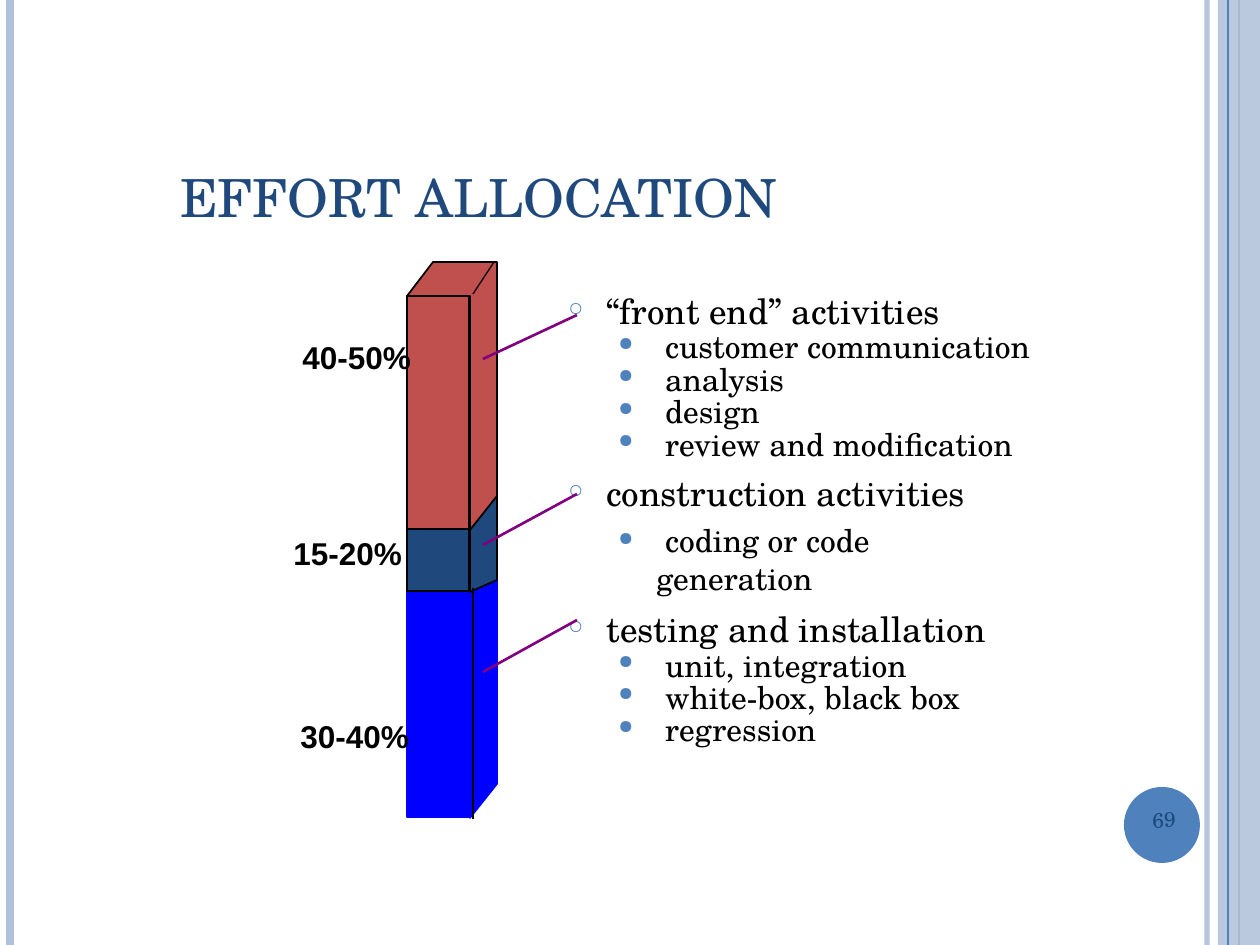
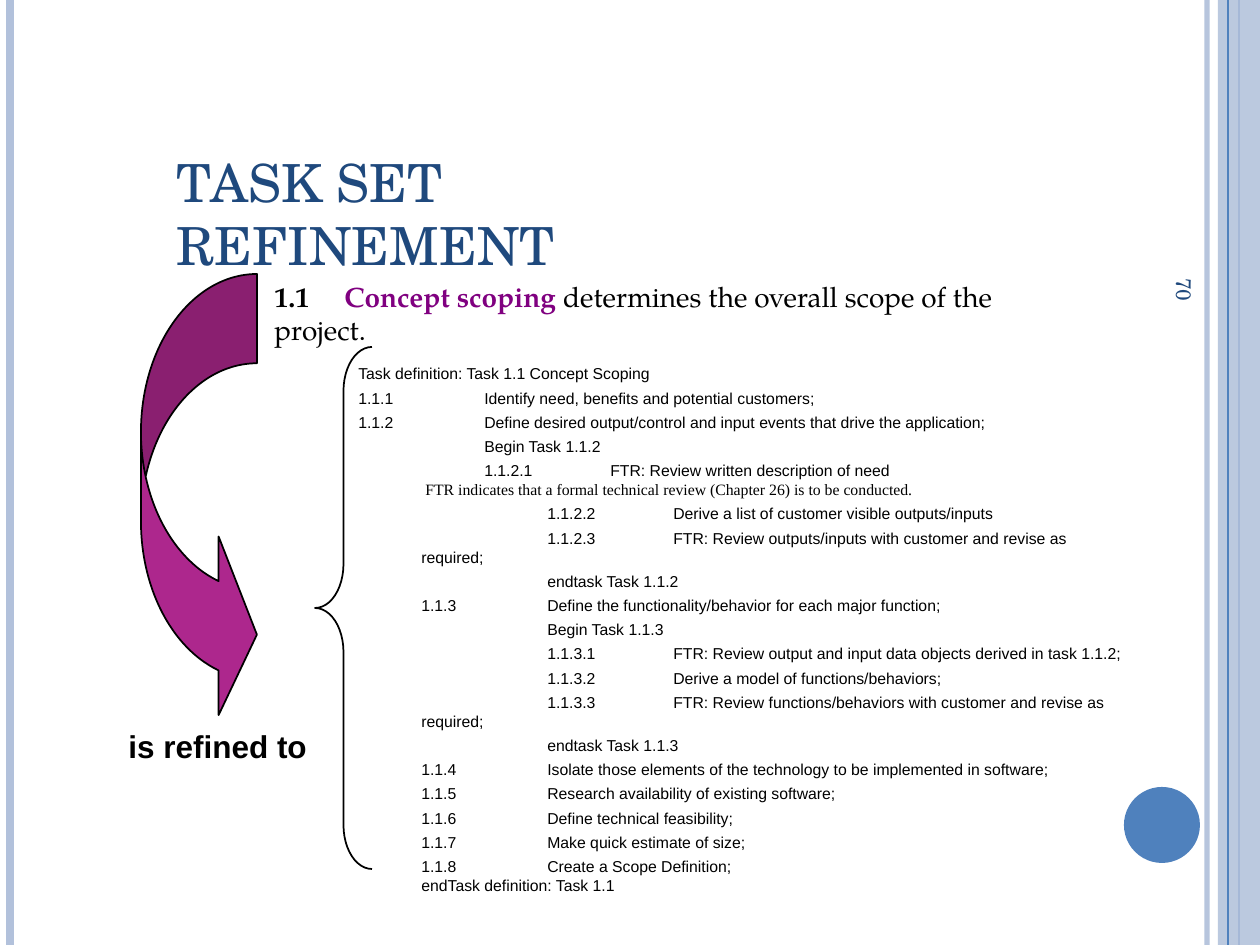
from dataclasses import dataclass

from lxml import etree
from pptx import Presentation
from pptx import util as u
from pptx.dml.color import RGBColor
from pptx.enum import shapes, text
from pptx.oxml import ns

EMU_PER_PX = 914400 / 126


@dataclass(frozen=True)
class Theme:
    navy: str = "1F497D"
    blue: str = "4F81BD"
    pale: str = "B2C1DB"
    black: str = "000000"
    purple: str = "800080"
    magenta: str = "AD278D"
    red: str = "C0504D"
    bright: str = "0000FF"
    serif: str = "TeX Gyre Schola"
    book: str = "TeX Gyre Pagella"
    sans: str = "Arial"
    roman: str = "Times New Roman"
    title: int = 30
    body: int = 20
    detail: int = 18
    lead: int = 16
    number: int = 12
    task: int = 9


T = Theme()

ACTIVITIES = [
    ("“front end” activities", 0.65,
     ["customer communication", "analysis", "design", "review and modification"]),
    ("construction activities", 1, ["coding or code generation"]),
    ("testing and installation", 0.65,
     ["unit, integration", "white-box, black box", "regression"]),
]

TASKS_BEFORE_NOTE = [
    "Task definition: Task 1.1 Concept Scoping",
    "1.1.1\tIdentify need, benefits and potential customers;",
    "1.1.2\tDefine desired output/control and input events that drive the application;",
    "\tBegin Task 1.1.2",
    "\t1.1.2.1\tFTR: Review written description of need",
]
NOTE = "FTR indicates that a formal technical review (Chapter 26) is to be conducted."
TASKS_AFTER_NOTE = [
    "\t1.1.2.2\tDerive a list of customer visible outputs/inputs",
    "\t1.1.2.3\tFTR: Review outputs/inputs with customer and revise as required;",
    "\tendtask Task 1.1.2",
    "1.1.3\tDefine the functionality/behavior for each major function;",
    "\tBegin Task 1.1.3",
    "\t1.1.3.1\tFTR: Review output and input data objects derived in task 1.1.2;",
    "\t1.1.3.2\tDerive a model of functions/behaviors;",
    "\t1.1.3.3\tFTR: Review functions/behaviors with customer and revise as required;",
    "\tendtask Task 1.1.3",
    "1.1.4\tIsolate those elements of the technology to be implemented in software;",
    "1.1.5\tResearch availability of existing software;",
    "1.1.6\tDefine technical feasibility;",
    "1.1.7\tMake quick estimate of size;",
    "1.1.8\tCreate a Scope Definition;",
]


def px(n):
    return u.Emu(round(n * EMU_PER_PX))


def rgb(color):
    return RGBColor.from_string(color)


def sub(parent, tag, **attrs):
    return etree.SubElement(parent, ns.qn(tag), **attrs)


def set_alpha(sp, percent):
    for clr in sp._element.iter(ns.qn("a:srgbClr")):
        sub(clr, "a:alpha", val=str(percent * 1000))


def write(tf, words, size=T.task, font=T.sans, color=T.black, bold=False, align=None,
          before=0, spacing=None, left=0, hang=0, bullet=None, tabs=(), join=False):
    p = tf.paragraphs[-1]
    if not join:
        first = not p.runs
        p = p if first else tf.add_paragraph()
        pPr = p._p.get_or_add_pPr()
        if left:
            pPr.set("marL", str(px(left)))
        if hang:
            pPr.set("indent", str(-px(hang)))
        if bullet:
            char, percent = bullet
            sub(sub(pPr, "a:buClr"), "a:srgbClr", val=T.blue)
            sub(pPr, "a:buSzPct", val=str(percent * 1000))
            sub(pPr, "a:buChar", char=char)
        if tabs:
            stops = sub(pPr, "a:tabLst")
            for stop in tabs:
                sub(stops, "a:tab", pos=str(px(stop)), algn="l")
        if align is not None:
            p.alignment = align
        if spacing:
            p.line_spacing = spacing
        if before and not first:
            p.space_before = u.Pt(before)
    r = p.add_run()
    r.text = words
    r.font.size, r.font.name, r.font.bold = u.Pt(size), font, bold
    r.font.color.rgb = rgb(color)


def place(sp, x, y, w, h):
    sp.left, sp.top, sp.width, sp.height = px(x), px(y), px(w), px(h)


def textbox(slide, x, y, w, h, wrap=True, anchor=text.MSO_ANCHOR.TOP):
    sp = slide.shapes.add_textbox(px(x), px(y), px(w), px(h))
    tf = sp.text_frame
    tf.word_wrap = wrap
    tf.vertical_anchor = anchor
    return sp


def set_title(slide, words, x, y, w, h, anchor, inset_x, inset_y):
    sp = slide.shapes.title
    place(sp, x, y, w, h)
    tf = sp.text_frame
    tf.auto_size = text.MSO_AUTO_SIZE.NONE
    tf.word_wrap = True
    tf.vertical_anchor = anchor
    tf.margin_left = tf.margin_right = px(inset_x)
    tf.margin_top = tf.margin_bottom = px(inset_y)
    write(tf, words, size=T.title, font=T.serif, color=T.navy, align=text.PP_ALIGN.LEFT)


def paint(sp, fill=None, line=None, width=1):
    sp.shadow.inherit = False
    if fill:
        sp.fill.solid()
        sp.fill.fore_color.rgb = rgb(fill)
    else:
        sp.fill.background()
    if line:
        sp.line.color.rgb = rgb(line)
        sp.line.width = u.Pt(width)
    else:
        sp.line.fill.background()
    return sp


def preset(slide, kind, x, y, w, h, adjust=(), **look):
    sp = slide.shapes.add_shape(kind, px(x), px(y), px(w), px(h))
    for i, value in enumerate(adjust):
        sp.adjustments[i] = value
    return paint(sp, **look)


def line(slide, x1, y1, x2, y2, color, width):
    cx = slide.shapes.add_connector(
        shapes.MSO_CONNECTOR.STRAIGHT, px(x1), px(y1), px(x2), px(y2))
    cx.line.color.rgb = rgb(color)
    cx.line.width = u.Pt(width)
    sub(cx._element.spPr, "a:effectLst")
    return cx


def outline(slide, points, **look):
    fb = slide.shapes.build_freeform(*points[0], scale=EMU_PER_PX)
    fb.add_line_segments(points[1:], close=True)
    return paint(fb.convert_to_shape(), **look)


def page_number(slide, number, x, y, w, h, rotation):
    sp = textbox(slide, x, y, w, h, anchor=text.MSO_ANCHOR.MIDDLE)
    sp.rotation = rotation
    write(sp.text_frame, number, size=T.number, font=T.serif, color=T.navy,
          align=text.PP_ALIGN.RIGHT)


def decorate_layout(layout, slide):
    rect, oval = shapes.MSO_SHAPE.RECTANGLE, shapes.MSO_SHAPE.OVAL
    right_rule = line(slide, 1207, 0, 1207, 945, T.pale, 3)
    set_alpha(right_rule, 93)
    left_rule = line(slide, 10, 0, 10, 945, T.pale, 4.5)
    blue_rule = line(slide, 1239, 0, 1239, 945, T.blue, 1.5)
    band = preset(slide, rect, 1218, 0, 42, 945, fill=T.pale)
    set_alpha(band, 87)
    thin_rule = line(slide, 1228, 0, 1228, 945, T.blue, 0.75)
    disc = preset(slide, oval, 1124, 787, 76, 76, fill=T.blue)
    for sp in (right_rule, left_rule, blue_rule, band, thin_rule, disc):
        layout.shapes.element.append(sp._element)


def block(slide, top, bottom, rise, fill, edge):
    left, back, front, right = 407, 433, 470, 497
    foot = bottom + 1
    preset(slide, shapes.MSO_SHAPE.RECTANGLE, left, top, front - left - 1, bottom - top,
           fill=fill, line=edge)
    outline(slide, [(front, foot), (right, foot - rise), (right, top - rise),
                    (back, top - rise), (left, top), (front, top)], fill=fill, line=edge)


def effort_slide(slide):
    page_number(slide, "69", 1138, 793, 50, 53, 357.5)
    set_title(slide, "EFFORT ALLOCATION", 167, 147, 718, 87, text.MSO_ANCHOR.BOTTOM, 13, 6)

    tf = textbox(slide, 556, 283, 490, 528).text_frame
    for activity, spacing, details in ACTIVITIES:
        write(tf, activity, size=T.body, font=T.serif, before=6, left=38, hang=38,
              bullet=("○", 54))
        for detail in details:
            write(tf, " " + detail, size=T.detail, font=T.serif, before=4.5,
                  spacing=spacing, left=88, hang=38, bullet=("●", 60))

    block(slide, 585, 817, 34, T.bright, T.bright)
    block(slide, 502, 591, 12, T.navy, T.black)
    block(slide, 296, 529, 34, T.red, T.black)
    for share, x, y in (("40-50%", 290, 336), ("30-40%", 288, 715), ("15-20%", 281, 532)):
        tf = textbox(slide, x, y, 134, 47, wrap=False).text_frame
        write(tf, share, size=T.detail, bold=True, spacing=0.9)

    for y1, y2 in ((315, 359), (494, 545), (620, 672)):
        line(slide, 577, y1, 483, y2, T.purple, 1.5)
    line(slide, 473, 588, 473, 819, T.black, 1.5)
    line(slide, 473, 294, 494, 262, T.black, 0.75)


def refinement_slide(slide):
    page_number(slide, "70", 1046, 149, 277, 53, 90)
    set_title(slide, "TASK SET REFINEMENT", 168, 146, 672, 134, text.MSO_ANCHOR.TOP, 9, 4)

    tf = textbox(slide, 262, 273, 789, 81).text_frame
    write(tf, "1.1\t", size=T.lead, font=T.book, bold=True, tabs=[70])
    write(tf, "Concept scoping", size=T.lead, font=T.book, color=T.purple, bold=True, join=True)
    write(tf, " determines the overall scope of the project.", size=T.lead, font=T.book,
          join=True)

    tabs = [126 * i for i in range(1, 8)]
    tf = textbox(slide, 346, 358, 795, 505).text_frame
    for task in TASKS_BEFORE_NOTE:
        write(tf, task, before=3, tabs=tabs)
    write(tf, NOTE, font=T.roman, left=67)
    for task in TASKS_AFTER_NOTE:
        write(tf, task, before=3, left=63, tabs=tabs)
    write(tf, "endTask definition: Task 1.1", left=63)

    preset(slide, shapes.MSO_SHAPE.CURVED_RIGHT_ARROW, 141, 274, 116, 450,
           adjust=(0.77, 1.54, 0.33), fill=T.magenta, line=T.black)
    tf = textbox(slide, 116, 725, 243, 47).text_frame
    write(tf, "is refined to", size=T.detail, bold=True, spacing=0.9)
    preset(slide, shapes.MSO_SHAPE.LEFT_BRACE, 315, 347, 57, 522,
           adjust=(0.77, 0.5), line=T.black)


def main():
    prs = Presentation()
    prs.slide_width, prs.slide_height = px(1260), px(945)
    layout = prs.slide_layouts[5]
    effort, refinement = (prs.slides.add_slide(layout) for _ in range(2))
    decorate_layout(layout, effort)
    effort_slide(effort)
    refinement_slide(refinement)
    prs.save("out.pptx")


if __name__ == "__main__":
    main()
